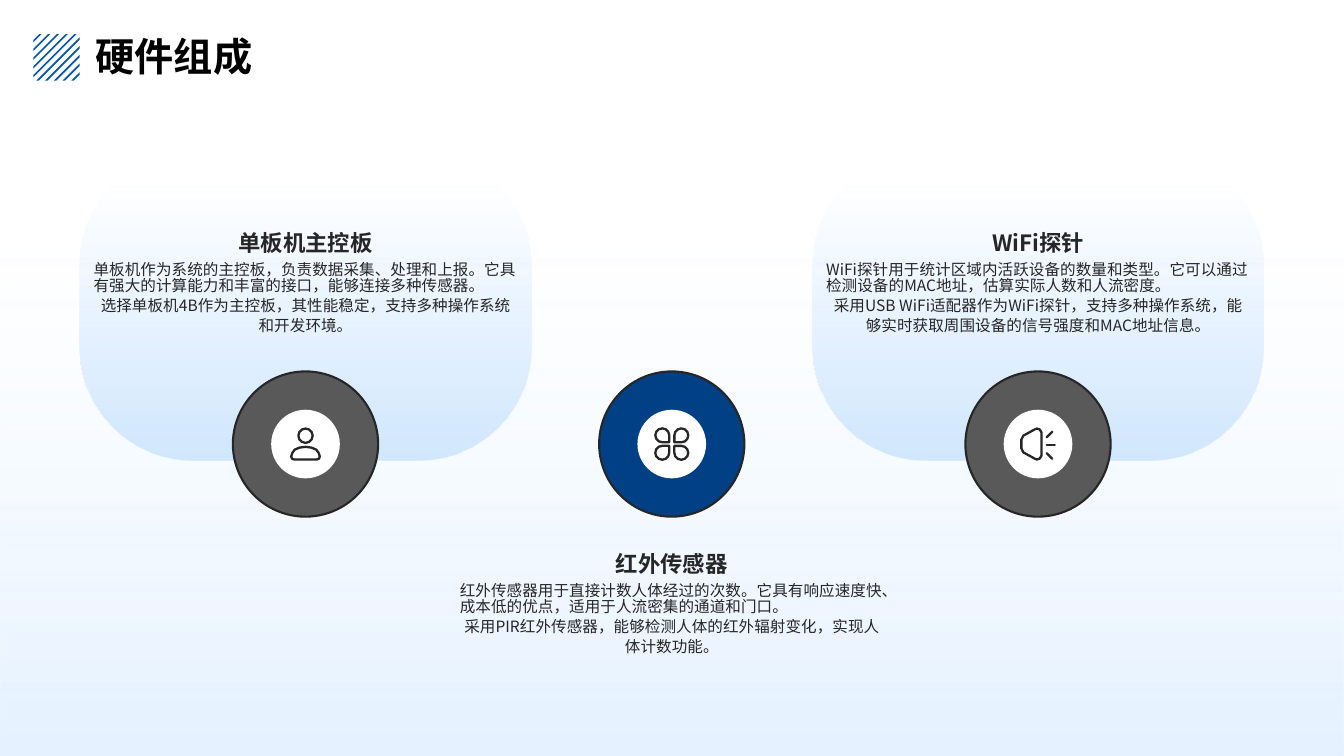
"""Build the hardware overview slide with three components."""
from lxml.etree import SubElement
from pptx import Presentation
from pptx.dml.color import RGBColor
from pptx.enum.shapes import MSO_CONNECTOR, MSO_SHAPE
from pptx.enum.text import MSO_ANCHOR, MSO_AUTO_SIZE, PP_ALIGN
from pptx.oxml.ns import qn
from pptx.util import Cm, Pt

TITLE = "硬件组成"
COMPONENTS = [
    {
        "heading": "WiFi探针",
        "body": [
            "WiFi探针用于统计区域内活跃设备的数量和类型。它可以通过检测设备的MAC地址，估算实际人数和人流密度。",
            "采用USB WiFi适配器作为WiFi探针，支持多种操作系统，能够实时获取周围设备的信号强度和MAC地址信息。",
        ],
        "column": 2, "text_top": 4.92, "card": True, "disc": "595959", "icon": "speaker",
    },
    {
        "heading": "红外传感器",
        "body": [
            "红外传感器用于直接计数人体经过的次数。它具有响应速度快、成本低的优点，适用于人流密集的通道和门口。",
            "采用PIR红外传感器，能够检测人体的红外辐射变化，实现人体计数功能。",
        ],
        "column": 1, "text_top": 13.01, "card": False, "disc": "014084", "icon": "clover",
    },
    {
        "heading": "单板机主控板",
        "body": [
            "单板机作为系统的主控板，负责数据采集、处理和上报。它具有强大的计算能力和丰富的接口，能够连接多种传感器。",
            "选择单板机4B作为主控板，其性能稳定，支持多种操作系统和开发环境。",
        ],
        "column": 0, "text_top": 4.92, "card": True, "disc": "595959", "icon": "person",
    },
]

FONT = "Noto Sans CJK SC"
INK = "262626"
TITLE_FORMAT = {"size": Pt(28), "bold": True}
HEADING_FORMAT = {"size": Pt(16), "bold": True}
BODY_FORMAT = {"size": Pt(11.1), "bold": False}
BODY_PARAGRAPHS = [
    {"alignment": PP_ALIGN.LEFT, "line_spacing": 0.85},
    {"alignment": PP_ALIGN.CENTER, "line_spacing": 1.06},
]
BACKDROP_STOPS = [(0.32, "BDDDFE", 0), (1, "7CBAFE", 20)]
CARD_STOPS = [(0.1, "BDDDFE", 0), (1, "BDDDFE", 65)]

SLIDE_WIDTH, SLIDE_HEIGHT = 33.87, 19.05
FIRST_CENTER, PITCH, DISC_CENTER = 7.70, 9.23, 11.19
CARD_TOP, CARD_WIDTH, CARD_HEIGHT = 3.83, 11.38, 7.78
TEXT_WIDTH, HEADING_HEIGHT, BODY_HEIGHT, BODY_OFFSET = 10.68, 1.53, 2.47, 1.71
DISC_SIZE, HOLE_SIZE = 3.66, 1.73
ICON_STYLE = {"line": INK, "weight": 1.65}

SHOULDER = [(0, 0.07), (0.15, 0.09), (0.27, 0.14), (0.33, 0.22), (0.36, 0.31), (0.34, 0.37), (0.28, 0.39)]
SPEAKER_TOP = [(-0.42, -0.11), (-0.37, -0.21), (-0.08, -0.37), (-0.03, -0.39), (0.04, -0.37), (0.09, -0.29)]
RAYS = [(0.22, -0.17, 0.36, -0.31), (0.22, 0.03, 0.42, 0.03), (0.22, 0.23, 0.36, 0.37)]
PETALS = [(-0.24, -0.22, 90), (0.24, -0.22, 180), (-0.24, 0.22, 0), (0.24, 0.22, 270)]

HATCH_LEFT, HATCH_TOP, HATCH_SIDE = 0.84, 0.86, 1.17
STRIPES, STRIPE_START, STRIPE_STEP, STRIPE_WIDTH = 10, 0.15, 0.22, 0.06


def color(value):
    return RGBColor.from_string(value)


def paint(shape, fill=None, line=None, weight=1.5):
    shape.shadow.inherit = False
    if fill:
        shape.fill.solid()
        shape.fill.fore_color.rgb = color(fill)
    else:
        shape.fill.background()
    if line:
        shape.line.color.rgb = color(line)
        shape.line.width = Pt(weight)
    else:
        shape.line.fill.background()


def add_shape(shapes, kind, center_x, center_y, width, height, **style):
    shape = shapes.add_shape(
        kind, Cm(center_x - width / 2), Cm(center_y - height / 2), Cm(width), Cm(height))
    paint(shape, **style)
    return shape


def shade(shape, stops):
    shape.fill.gradient()
    shape.fill.gradient_angle = 270
    for stop, (position, value, _) in zip(shape.fill.gradient_stops, stops):
        stop.position = position
        stop.color.rgb = color(value)
    gradient = shape._element.spPr.find(qn("a:gradFill"))
    for element, (_, _, opacity) in zip(gradient.iter(qn("a:srgbClr")), stops):
        SubElement(element, qn("a:alpha")).set("val", str(opacity * 1000))


def add_outline(shapes, contours, left, top, **style):
    placed = [[(Cm(left + x), Cm(top + y)) for x, y in contour] for contour in contours]
    builder = shapes.build_freeform(*placed[0][0])
    for index, contour in enumerate(placed):
        if index:
            builder.move_to(*contour[0])
        builder.add_line_segments(contour[1:], close=True)
    shape = builder.convert_to_shape()
    paint(shape, **style)


def write(shape, lines, paragraph_formats, font_format, text_color, anchor=MSO_ANCHOR.TOP):
    frame = shape.text_frame
    frame_format = {
        "word_wrap": True, "auto_size": MSO_AUTO_SIZE.NONE, "vertical_anchor": anchor,
        "margin_left": 0, "margin_right": 0, "margin_top": 0, "margin_bottom": 0,
    }
    for name, value in frame_format.items():
        setattr(frame, name, value)
    for index, (line, paragraph_format) in enumerate(zip(lines, paragraph_formats)):
        paragraph = frame.add_paragraph() if index else frame.paragraphs[0]
        for name, value in paragraph_format.items():
            setattr(paragraph, name, value)
        run = paragraph.add_run()
        run.text = line
        for name, value in {**font_format, "name": FONT}.items():
            setattr(run.font, name, value)
        run.font.color.rgb = color(text_color)
        SubElement(run._r.get_or_add_rPr(), qn("a:ea")).set("typeface", FONT)


def draw_person(shapes, x, y):
    add_shape(shapes, MSO_SHAPE.OVAL, x, y - 0.21, 0.36, 0.36, **ICON_STYLE)
    mirrored = [(-right, down) for right, down in reversed(SHOULDER[1:])]
    add_outline(shapes, [SHOULDER + mirrored], x, y, **ICON_STYLE)


def draw_clover(shapes, x, y):
    for right, down, rotation in PETALS:
        petal = add_shape(shapes, MSO_SHAPE.TEAR, x + right, y + down, 0.35, 0.35, **ICON_STYLE)
        petal.rotation = rotation


def draw_speaker(shapes, x, y):
    mirrored = [(right, -down) for right, down in reversed(SPEAKER_TOP)]
    add_outline(shapes, [SPEAKER_TOP + mirrored], x, y, **ICON_STYLE)
    for start_x, start_y, end_x, end_y in RAYS:
        ray = shapes.add_connector(
            MSO_CONNECTOR.STRAIGHT, Cm(x + start_x), Cm(y + start_y), Cm(x + end_x), Cm(y + end_y))
        ray.line.color.rgb = color(ICON_STYLE["line"])
        ray.line.width = Pt(ICON_STYLE["weight"])
        properties = ray._element.spPr
        properties.find(qn("a:ln")).set("cap", "rnd")
        SubElement(properties, qn("a:effectLst"))


ICONS = {"person": draw_person, "clover": draw_clover, "speaker": draw_speaker}


def add_component(shapes, component):
    x = FIRST_CENTER + PITCH * component["column"]
    if component["card"]:
        card = add_shape(
            shapes, MSO_SHAPE.ROUNDED_RECTANGLE, x, CARD_TOP + CARD_HEIGHT / 2, CARD_WIDTH, CARD_HEIGHT)
        card.adjustments[0] = 0.37
        shade(card, CARD_STOPS)
    add_shape(shapes, MSO_SHAPE.OVAL, x, DISC_CENTER, DISC_SIZE, DISC_SIZE, fill=component["disc"], line=INK)
    left, top = Cm(x - TEXT_WIDTH / 2), component["text_top"]
    heading = shapes.add_textbox(left, Cm(top), Cm(TEXT_WIDTH), Cm(HEADING_HEIGHT))
    write(heading, [component["heading"]], [{"alignment": PP_ALIGN.CENTER}], HEADING_FORMAT, INK,
          MSO_ANCHOR.BOTTOM)
    body = shapes.add_textbox(left, Cm(top + BODY_OFFSET), Cm(TEXT_WIDTH), Cm(BODY_HEIGHT))
    write(body, component["body"], BODY_PARAGRAPHS, BODY_FORMAT, INK)
    add_shape(shapes, MSO_SHAPE.OVAL, x, DISC_CENTER, HOLE_SIZE, HOLE_SIZE, fill="FFFFFF")
    ICONS[component["icon"]](shapes, x, DISC_CENTER)


def diagonal(total):
    low = max(0, total - HATCH_SIDE)
    return [(total - low, low), (low, total - low)]


def add_hatch(shapes):
    starts = [STRIPE_START + STRIPE_STEP * index for index in range(STRIPES)]
    stripes = [diagonal(start) + diagonal(start + STRIPE_WIDTH)[::-1] for start in starts]
    add_outline(shapes, stripes, HATCH_LEFT, HATCH_TOP, fill="0256B0")


def main():
    presentation = Presentation()
    presentation.slide_width, presentation.slide_height = Cm(SLIDE_WIDTH), Cm(SLIDE_HEIGHT)
    slide = presentation.slides.add_slide(presentation.slide_layouts[5])
    shapes = slide.shapes
    backdrop = add_shape(
        shapes, MSO_SHAPE.RECTANGLE, SLIDE_WIDTH / 2, SLIDE_HEIGHT / 2, SLIDE_WIDTH, SLIDE_HEIGHT)
    shade(backdrop, BACKDROP_STOPS)
    for component in COMPONENTS:
        add_component(shapes, component)
    add_hatch(shapes)
    title = shapes.title
    title.left, title.top, title.width, title.height = Cm(2.41), Cm(0.69), Cm(28.83), Cm(1.5)
    write(title, [TITLE], [{"alignment": PP_ALIGN.LEFT, "line_spacing": 1.1}], TITLE_FORMAT, "000000")
    shapes._spTree.append(title._element)
    presentation.save("out.pptx")


if __name__ == "__main__":
    main()
